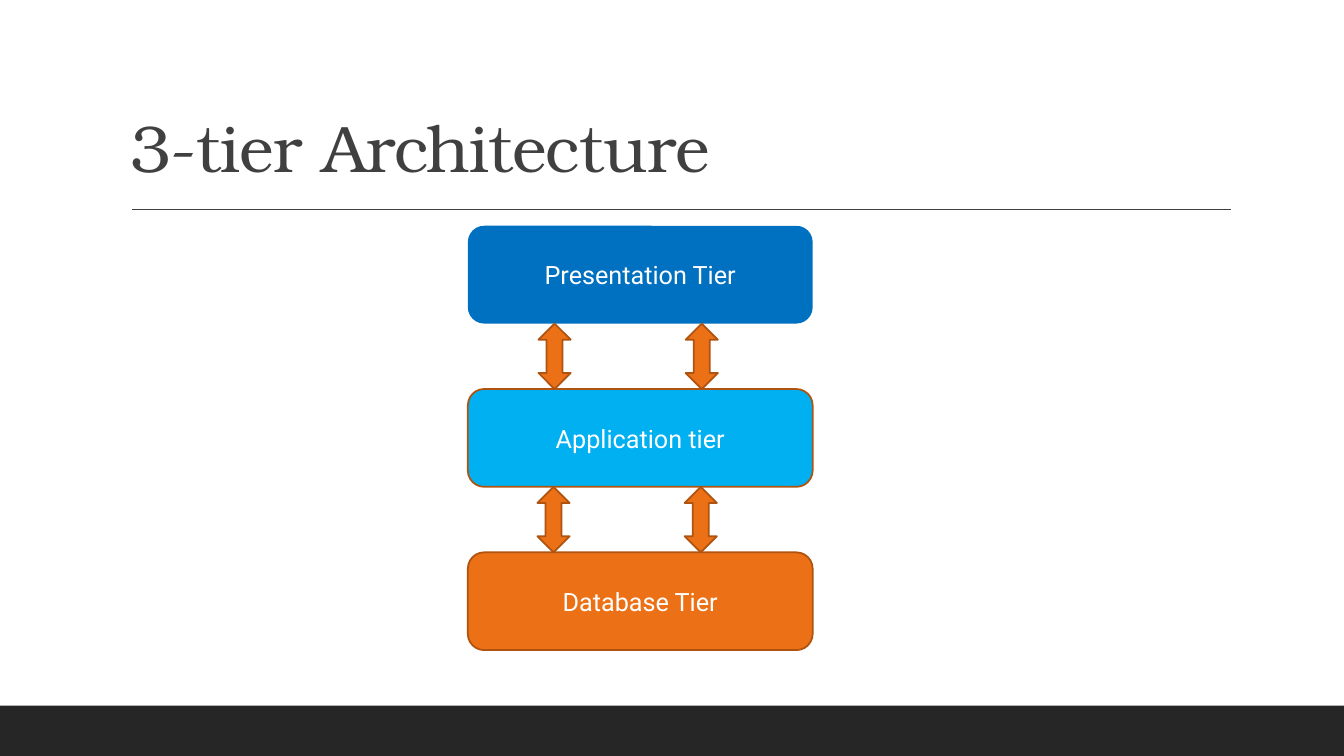
from lxml import etree
from pptx import Presentation
from pptx.dml.color import RGBColor
from pptx.enum.shapes import MSO_CONNECTOR, MSO_SHAPE
from pptx.enum.text import MSO_ANCHOR, PP_ALIGN
from pptx.oxml.ns import qn
from pptx.util import Inches, Pt

RECTANGLE = MSO_SHAPE.RECTANGLE
ROUNDED = MSO_SHAPE.ROUNDED_RECTANGLE
DOUBLE_ARROW = MSO_SHAPE.UP_DOWN_ARROW
STRAIGHT = MSO_CONNECTOR.STRAIGHT
CENTER = PP_ALIGN.CENTER
MIDDLE = MSO_ANCHOR.MIDDLE
BOTTOM = MSO_ANCHOR.BOTTOM

COLORS = {
    "footer": "262626",
    "heading": "404040",
    "blue": "0070C0",
    "sky": "00B0F0",
    "orange": "EC7016",
    "outline": "AF5310",
    "white": "FFFFFF",
}


class SlideBuilder:
    heading_font = "TeX Gyre Bonum"
    body_font = "Roboto"

    def __init__(self, slide):
        self.slide = slide

    def color(self, name):
        return RGBColor.from_string(COLORS[name])

    def add_run(self, paragraph, text, font, size, color):
        run = paragraph.add_run()
        run.text = text
        run.font.name = font
        run.font.size = Pt(size)
        run.font.color.rgb = self.color(color)
        return run

    def add_shape(self, kind, left, top, width, height, fill, outline=None):
        shape = self.slide.shapes.add_shape(
            kind, Inches(left), Inches(top), Inches(width), Inches(height))
        shape.shadow.inherit = False
        shape.fill.solid()
        shape.fill.fore_color.rgb = self.color(fill)
        if outline:
            shape.line.color.rgb = self.color(outline)
            shape.line.width = Pt(1.25)
        else:
            shape.line.fill.background()
        return shape

    def add_box(self, text, left, top, width, height, fill, outline):
        shape = self.add_shape(ROUNDED, left, top, width, height, fill, outline)
        shape.text_frame.vertical_anchor = MIDDLE
        paragraph = shape.text_frame.paragraphs[0]
        paragraph.alignment = CENTER
        self.add_run(paragraph, text, self.body_font, 18, "white")

    def add_title(self, text, left, top, width, height):
        shape = self.slide.shapes.add_textbox(
            Inches(left), Inches(top), Inches(width), Inches(height))
        shape.text_frame.word_wrap = True
        shape.text_frame.vertical_anchor = BOTTOM
        paragraph = shape.text_frame.paragraphs[0]
        paragraph.line_spacing = 0.9
        run = self.add_run(paragraph, text, self.heading_font, 47, "heading")
        run.font._element.set("spc", "-50")

    def add_rule(self, left, right, top):
        connector = self.slide.shapes.add_connector(
            STRAIGHT, Inches(left), Inches(top), Inches(right), Inches(top))
        connector.line.color.rgb = self.color("heading")
        connector.line.width = Pt(1)
        etree.SubElement(connector._element.spPr, qn("a:effectLst"))


presentation = Presentation()
presentation.slide_width = Inches(13.33)
presentation.slide_height = Inches(7.5)
builder = SlideBuilder(presentation.slides.add_slide(presentation.slide_layouts[6]))

builder.add_shape(RECTANGLE, 0, 7, 13.33, 0.5, "footer")
builder.add_rule(1.31, 12.21, 2.08)
builder.add_title("3-tier Architecture", 1.2, 0.31, 11, 1.59)

TIER_LEFT, TIER_TOP = 4.64, 2.24
TIER_WIDTH, TIER_HEIGHT = 3.42, 0.97
ARROW_WIDTH, ARROW_HEIGHT, ARROW_STEP = 0.32, 0.65, 1.46
TIER_STEP = TIER_HEIGHT + ARROW_HEIGHT

tiers = [
    ("Presentation Tier", "blue", None),
    ("Application tier", "sky", "outline"),
    ("Database Tier", "orange", "outline"),
]
for index, (name, fill, outline) in enumerate(tiers):
    builder.add_box(name, TIER_LEFT, TIER_TOP + index * TIER_STEP,
                    TIER_WIDTH, TIER_HEIGHT, fill, outline)

for gap, first_left in enumerate([5.34, 5.33]):
    arrow_top = TIER_TOP + TIER_HEIGHT + gap * TIER_STEP
    for column in range(2):
        builder.add_shape(DOUBLE_ARROW, first_left + column * ARROW_STEP, arrow_top,
                          ARROW_WIDTH, ARROW_HEIGHT, "orange", "outline")

presentation.save("out.pptx")
